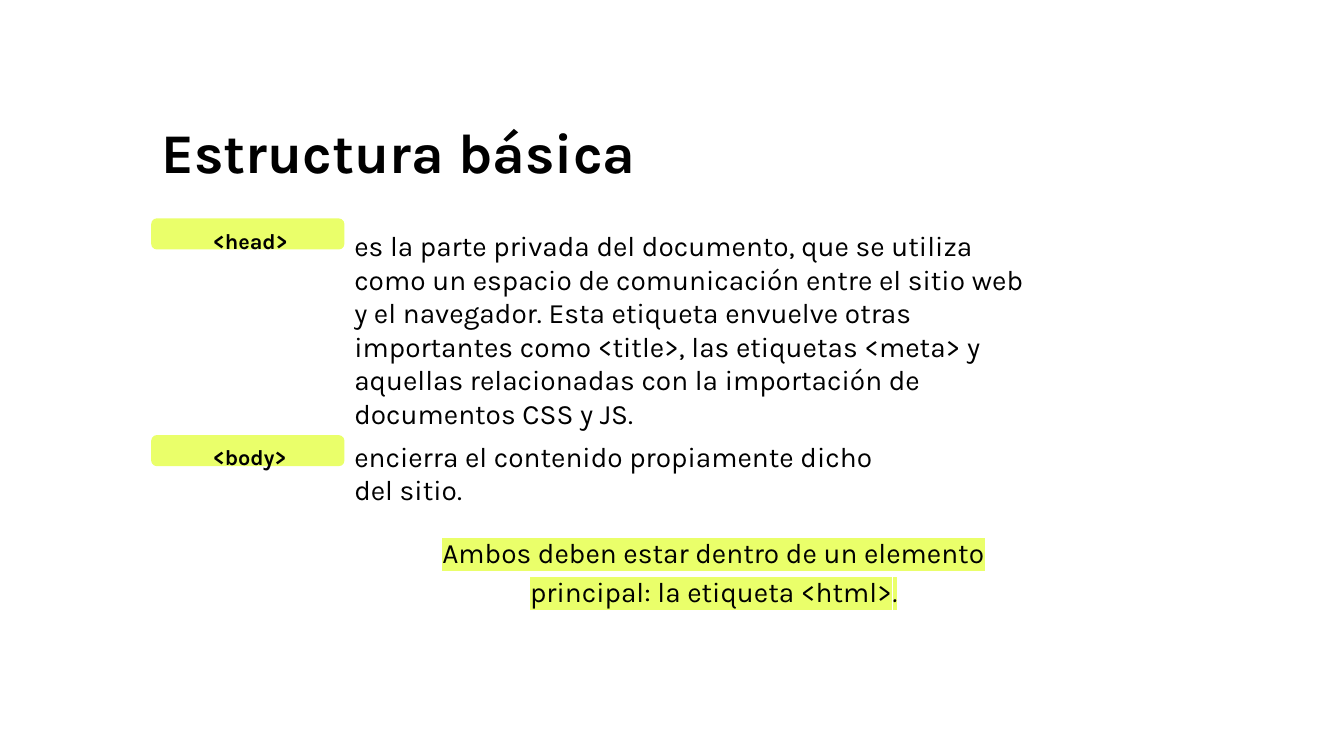
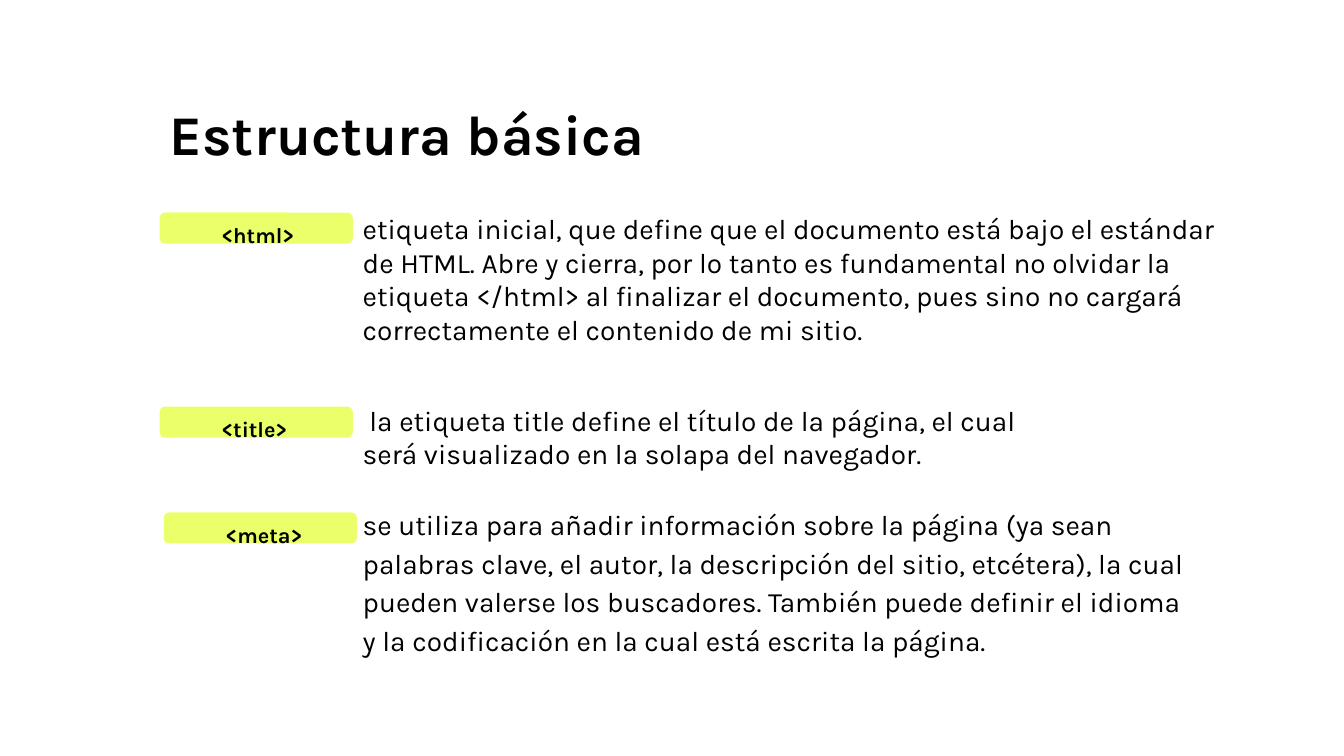
import pptx
import pptx.util
import pptx.dml.color
import pptx.enum.shapes
import pptx.enum.text
import pptx.oxml
import pptx.oxml.ns

WIDE, HIGH = 13.33, 7.5
COLS, ROWS = 160, 90
FONT = "Karla"
INK, LIME = "000000", "EAFF6A"
TITLE = "Estructura básica"
TAG = 23
LEFT = pptx.enum.text.PP_ALIGN.LEFT
MID = pptx.enum.text.PP_ALIGN.CENTER


def color(code):
    """Turn a hex string into a colour."""
    return pptx.dml.color.RGBColor.from_string(code)


def across(cols):
    """Length of a number of grid columns."""
    return pptx.util.Inches(WIDE * cols / COLS)


def down(rows):
    """Length of a number of grid rows."""
    return pptx.util.Inches(HIGH * rows / ROWS)


def area(col, row, wide, high):
    """Place and size of a block of grid cells."""
    return across(col), down(row), across(wide), down(high)


def style(run, size, bold=False, mark=None):
    """Set the font of a run, with an optional highlight."""
    font = run.font
    font.name, font.size, font.bold = FONT, pptx.util.Pt(size), bold
    font.color.rgb = color(INK)
    if mark:
        fill = run._r.get_or_add_rPr().find(pptx.oxml.ns.qn("a:solidFill"))
        fill.addnext(pptx.oxml.parse_xml(
            f'<a:highlight {pptx.oxml.ns.nsdecls("a")}>'
            f'<a:srgbClr val="{mark}"/></a:highlight>'))


def write(shape, text, size, bold=False, line=1.0, before=0, align=LEFT,
          anchor=pptx.enum.text.MSO_ANCHOR.TOP, mark=None):
    """Fill a shape with one formatted paragraph and return it."""
    frame = shape.text_frame
    frame.text = text
    frame.word_wrap = True
    frame.auto_size = pptx.enum.text.MSO_AUTO_SIZE.NONE
    frame.vertical_anchor = anchor
    frame.margin_left = frame.margin_right = pptx.util.Inches(0.1)
    frame.margin_top = frame.margin_bottom = pptx.util.Inches(0.1)
    para = frame.paragraphs[0]
    para.alignment, para.line_spacing = align, line
    para.space_before = pptx.util.Pt(before)
    style(para.runs[0], size, bold, mark)
    return para


def head(slide, col, row):
    """Set the slide title."""
    shape = slide.shapes.title
    shape.left, shape.top, shape.width, shape.height = area(col, row, 106.8, 9.7)
    write(shape, TITLE, 40, bold=True, line=0.9)


def label(slide, text, col, row):
    """Draw a lime tag with the name of an element."""
    kind = pptx.enum.shapes.MSO_SHAPE.ROUNDED_RECTANGLE
    shape = slide.shapes.add_shape(kind, *area(col, row, TAG, 3.7))
    shape.adjustments[0] = 0.18
    shape.shadow.inherit = False
    shape.fill.solid()
    shape.fill.fore_color.rgb = color(LIME)
    shape.line.fill.background()
    para = write(shape, text, 15.5, bold=True, line=1.5, before=11,
                 anchor=pptx.enum.text.MSO_ANCHOR.MIDDLE)
    para._p.get_or_add_pPr().set("indent", str(pptx.util.Inches(0.5)))


def prose(slide, text, place, **look):
    """Add a block of running text."""
    box = slide.shapes.add_textbox(*area(*place))
    return write(box, text, 20, **look)


def begin(deck, col, row):
    """Add a titled slide."""
    slide = deck.slides.add_slide(deck.slide_layouts[5])
    head(slide, col, row)
    return slide


def parts(deck):
    """Build the slide on head and body."""
    col = 18
    slide = begin(deck, col, 13.7)
    text = col + TAG
    prose(slide, "es la parte privada del documento, que se utiliza como un "
          "espacio de comunicación entre el sitio web y el navegador. Esta "
          "etiqueta envuelve otras importantes como <title>, las etiquetas "
          "<meta> y aquellas relacionadas con la importación de documentos "
          "CSS y JS.", (text, 26, 84.2, 26.6))
    label(slide, "<head>", col, 26)
    label(slide, "<body>", col, 51.8)
    prose(slide, "encierra el contenido propiamente dicho del sitio.",
          (text, 51.1, 65.4, 10.6))
    para = prose(slide, "Ambos deben estar dentro de un elemento principal: "
                 "la etiqueta <html>", (45.1, 62, 79.7, 13.6),
                 line=1.15, before=11, align=MID, mark=LIME)
    stop = para.add_run()
    stop.text = "."
    style(stop, 20, mark=LIME)
    stop.font.italic = True


def tags(deck):
    """Build the slide on html, title and meta."""
    col = 19
    slide = begin(deck, col, 11.6)
    text = col + TAG
    prose(slide, "etiqueta inicial, que define que el documento está bajo el "
          "estándar de HTML. Abre y cierra, por lo tanto es fundamental no "
          "olvidar la etiqueta </html> al finalizar el documento, pues sino "
          "no cargará correctamente el contenido de mi sitio.",
          (text, 24, 104, 18.6))
    prose(slide, " la etiqueta title define el título de la página, el cual "
          "será visualizado en la solapa del navegador.",
          (text, 46.8, 84.2, 10.6))
    prose(slide, "se utiliza para añadir información sobre la página (ya sean "
          "palabras clave, el autor, la descripción del sitio, etcétera), la "
          "cual pueden valerse los buscadores. También puede definir el "
          "idioma y la codificación en la cual está escrita la página.",
          (text, 58.6, 101.3, 22.8), line=1.15, before=11)
    label(slide, "<html>", col, 25.3)
    label(slide, "<title>", col, 48.4)
    label(slide, "<meta>", col + 0.5, 61)


def main():
    """Build and save the deck."""
    deck = pptx.Presentation()
    deck.slide_width = pptx.util.Inches(WIDE)
    deck.slide_height = pptx.util.Inches(HIGH)
    parts(deck)
    tags(deck)
    deck.save("out.pptx")


if __name__ == "__main__":
    main()
